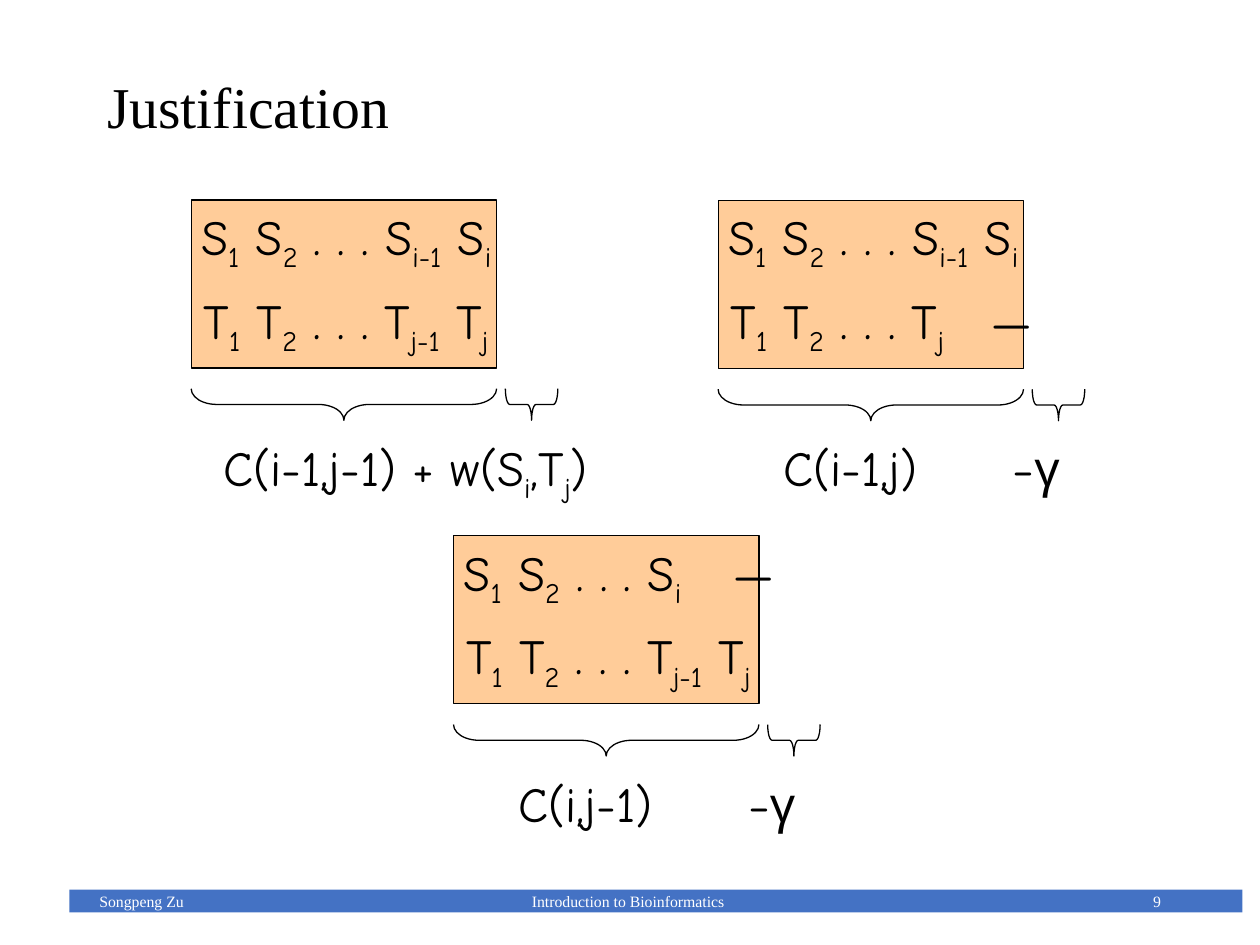
from dataclasses import dataclass

from lxml import etree
from pptx import Presentation
from pptx.dml.color import RGBColor
from pptx.enum import shapes, text
from pptx.oxml import ns
from pptx.util import Pt


@dataclass(frozen=True)
class Theme:
    ink: RGBColor = RGBColor.from_string("000000")
    paper: RGBColor = RGBColor.from_string("FFFFFF")
    panel: RGBColor = RGBColor.from_string("FFCC99")
    bar: RGBColor = RGBColor.from_string("4472C4")
    serif: str = "Times New Roman"
    hand: str = "Comic Neue"
    title_size: float = 33
    formula_size: float = 28
    footer_size: float = 9
    line_width: float = 0.75


theme = Theme()


def add_formula(page, left, top, width, formula, tab_stop):
    """Write a formula; parts between underscores are subscripts."""
    box = page.shapes.add_textbox(Pt(left), Pt(top), Pt(width), Pt(41))
    box.text_frame.word_wrap = True
    para = box.text_frame.paragraphs[0]
    for index, part in enumerate(formula.split("_")):
        if not part:
            continue
        span = para.add_run()
        span.text = part
        span.font.name = theme.hand
        span.font.size = Pt(theme.formula_size)
        span.font.color.rgb = theme.ink
        if index % 2:
            span.font._element.set("baseline", "-25000")
    if tab_stop:
        tabs = etree.SubElement(para._p.get_or_add_pPr(), ns.qn("a:tabLst"))
        etree.SubElement(tabs, ns.qn("a:tab"), pos=str(Pt(tab_stop)), algn="l")


def add_outline(page, kind, left, top, width, height):
    """Add an unfilled shape with a thin dark line."""
    shape = page.shapes.add_shape(kind, Pt(left), Pt(top), Pt(width), Pt(height))
    shape.shadow.inherit = False
    shape.fill.background()
    shape.line.color.rgb = theme.ink
    shape.line.width = Pt(theme.line_width)
    return shape


deck = Presentation()
deck.slide_width, deck.slide_height = Pt(720), Pt(540)
page = deck.slides.add_slide(deck.slide_layouts[5])

# Footer bar
bar = page.shapes.add_shape(
    shapes.MSO_SHAPE.RECTANGLE, Pt(39.6), Pt(508.3), Pt(670.3), Pt(13))
bar.shadow.inherit = False
bar.fill.solid()
bar.fill.fore_color.rgb = theme.bar
bar.line.fill.background()

# Title
title = page.shapes.title
title.left, title.top, title.width, title.height = Pt(54), Pt(18), Pt(612), Pt(90)
title.text_frame.text = "Justification"
title.text_frame.vertical_anchor = text.MSO_ANCHOR.MIDDLE
para = title.text_frame.paragraphs[0]
para.alignment = text.PP_ALIGN.LEFT
para.line_spacing = 0.9
font = para.runs[0].font
font.name, font.size = theme.serif, Pt(theme.title_size)
font.color.rgb = theme.ink

# Alignment cases: left, top, S row, T row, cost, cost indent, tab stops
panel_width, panel_height = 174.5, 96
brace_height, small_width = 18, 30
brace_middle, small_middle = 116.8, 194.5
cases = [
    (109.3, 114.3, "S_1_ S_2_ . . . S_i-1_ S_i", "T_1_ T_2_ . . . T_j-1_ T_j",
     "C(i-1,j-1) + w(S_i_,T_j_)", 11.5, (0, 0, 0)),
    (410.4, 114.6, "S_1_ S_2_ . . . S_i-1_ S_i", "T_1_ T_2_ . . . T_j_\t—",
     "C(i-1,j)\t−γ", 30.2, (0, 149, 131)),
    (259.2, 306.2, "S_1_ S_2_ . . . S_i_\t—", "T_1_ T_2_ . . . T_j-1_ T_j",
     "C(i,j-1)\t−γ", 30.2, (154, 0, 131)),
]
for left, top, s_row, t_row, cost, indent, (s_tab, t_tab, cost_tab) in cases:
    panel = add_outline(page, shapes.MSO_SHAPE.RECTANGLE,
                        left, top, panel_width, panel_height)
    panel.fill.solid()
    panel.fill.fore_color.rgb = theme.panel
    add_formula(page, left - 1.4, top, 220, s_row, s_tab)
    add_formula(page, left, top + 48, 214, t_row, t_tab)
    add_formula(page, left + indent, top + 132, 256 if indent < 20 else 180,
                cost, cost_tab)
    for middle, span_width, curl in (
            (panel_width / 2, panel_width, 0.806),
            (small_middle, small_width, 0.139)):
        brace = add_outline(
            page, shapes.MSO_SHAPE.LEFT_BRACE,
            left + middle - brace_height / 2,
            top + brace_middle - span_width / 2, brace_height, span_width)
        brace.rotation = 270
        brace.adjustments[0] = curl
        brace.adjustments[1] = 0.5

# Footer text
for left, width, words, alignment in (
        (49.7, 162, "Songpeng Zu", text.PP_ALIGN.LEFT),
        (238.5, 243, "Introduction to Bioinformatics ", text.PP_ALIGN.CENTER),
        (508.5, 162, "9", text.PP_ALIGN.RIGHT)):
    box = page.shapes.add_textbox(Pt(left), Pt(500.4), Pt(width), Pt(28.8))
    box.text_frame.word_wrap = True
    box.text_frame.vertical_anchor = text.MSO_ANCHOR.MIDDLE
    box.text_frame.text = words
    para = box.text_frame.paragraphs[0]
    para.alignment = alignment
    font = para.runs[0].font
    font.name, font.size = theme.serif, Pt(theme.footer_size)
    font.color.rgb = theme.paper

deck.save("out.pptx")
